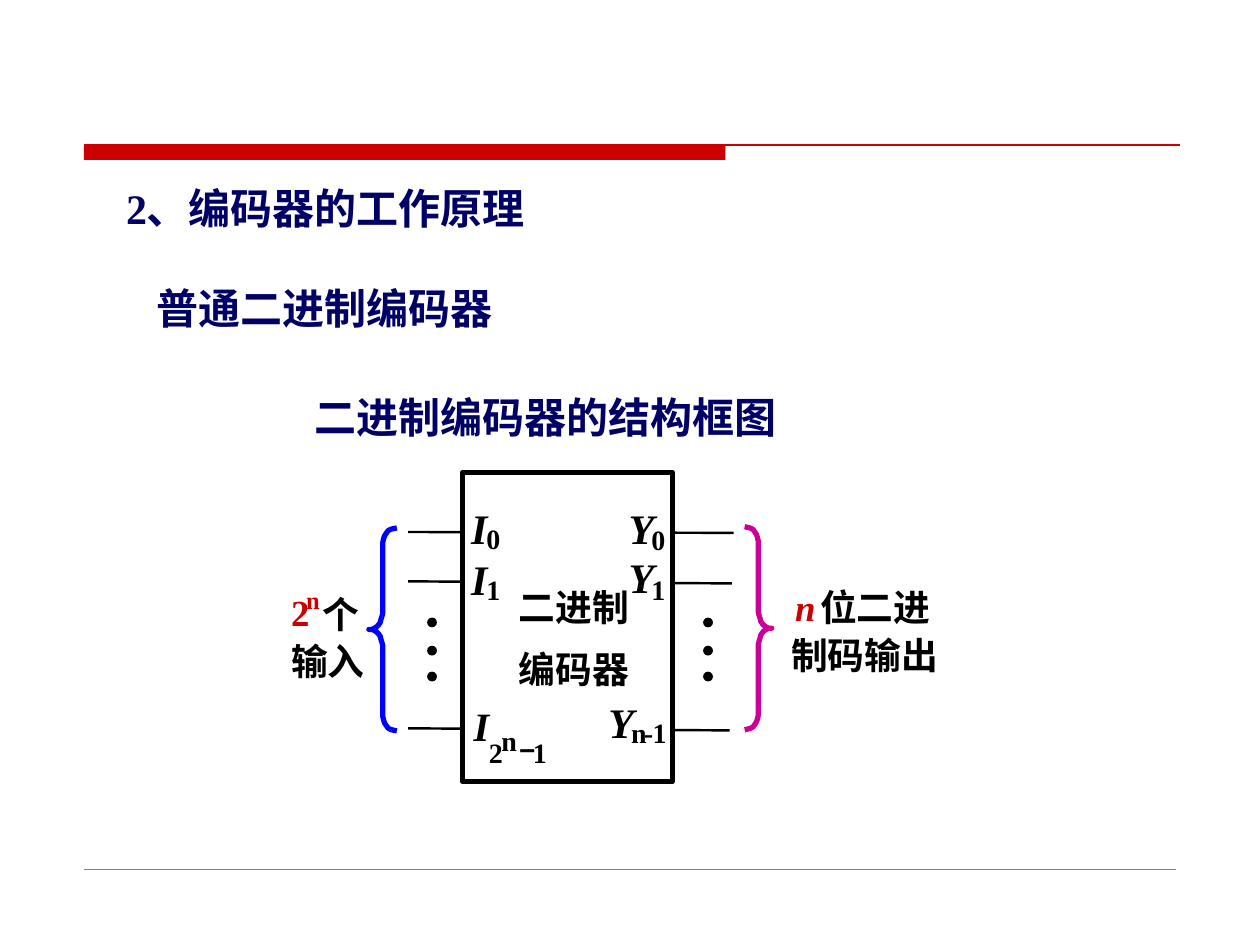
from lxml.etree import SubElement
from pptx import Presentation
from pptx.dml.color import RGBColor
from pptx.enum.shapes import MSO_CONNECTOR, MSO_SHAPE
from pptx.enum.text import MSO_ANCHOR, MSO_AUTO_SIZE, PP_ALIGN
from pptx.oxml.ns import qn
from pptx.util import Pt

COLORS = {"red": "CC0000", "navy": "000066", "black": "000000", "white": "FFFFFF",
          "blue": "0000FF", "pink": "CC0099", "gray": "808080"}
LATIN, HAN = "Times New Roman", "Noto Sans CJK SC"
EMS = {"I": 0.39, "Y": 0.61, "n": 0.55, "-": 0.33, "−": 0.58}
CURVE = [(16, 0), (14, 0.4), (12.5, 0.8), (11, 1.6), (10, 3), (9, 4.5), (8.5, 6),
         (8, 8), (8, 48.5), (7.5, 50.5), (7, 52), (6.5, 54), (5.5, 55.5),
         (4.5, 56.5), (3, 57.5), (1.5, 58), (0, 58)]


def color(name):
    """Return the named colour."""
    return RGBColor.from_string(COLORS[name])


def add_run(para, text, size, tint="black", font=LATIN, east=None, italic=False):
    """Add one bold run to a paragraph."""
    run = para.add_run()
    run.text = text
    run.font.size = Pt(size)
    run.font.bold = True
    run.font.italic = italic
    run.font.color.rgb = color(tint)
    run.font.name = font
    SubElement(run.font._element, qn("a:ea")).set("typeface", east or font)


def add_label(slide, x, y, text, size, tint="black", font=LATIN, italic=False):
    """Place a one-line label that fits its text."""
    width = size * sum(EMS.get(c, 0.5 if c.isdigit() else 1) for c in text)
    box = slide.shapes.add_textbox(Pt(x), Pt(y), Pt(width), Pt(size * 1.2))
    frame = box.text_frame
    frame.word_wrap = False
    frame.margin_left = frame.margin_right = frame.margin_top = frame.margin_bottom = 0
    add_run(frame.paragraphs[0], text, size, tint, font, italic=italic)


def add_line(slide, start, end, tint, width):
    """Draw a plain straight line."""
    line = slide.shapes.add_connector(MSO_CONNECTOR.STRAIGHT, *map(Pt, start + end))
    line.line.color.rgb = color(tint)
    line.line.width = Pt(width)
    SubElement(line._element.spPr, qn("a:effectLst"))


def add_solid(slide, kind, box, tint):
    """Draw a filled preset shape without outline."""
    shape = slide.shapes.add_shape(kind, *map(Pt, box))
    shape.shadow.inherit = False
    shape.fill.solid()
    shape.fill.fore_color.rgb = color(tint)
    shape.line.fill.background()
    return shape


def add_rules(slide, box):
    """Draw the heavy top rule and the thin bottom rule."""
    x, y, w, h = box
    add_solid(slide, MSO_SHAPE.RECTANGLE, (x, y, 366.5, 8.6), "red")
    add_line(slide, (x, y), (x + w, y), "red", 0.75)
    add_line(slide, (x, y + h), (x + w - 2.5, y + h), "gray", 0.25)


def add_heads(slide, box):
    """Fill the title and place the two headings below it."""
    x, y, w, h = box
    title = slide.shapes.title
    title.left, title.top, title.width, title.height = map(Pt, box)
    frame = title.text_frame
    frame.word_wrap = True
    frame.auto_size = MSO_AUTO_SIZE.NONE
    frame.vertical_anchor = MSO_ANCHOR.TOP
    para = frame.paragraphs[0]
    para.alignment = PP_ALIGN.LEFT
    add_run(para, "2、编码器的工作原理", 24, "navy", east=HAN)
    add_label(slide, x + 24.5, y + 60.5, "普通二进制编码器", 24, "navy", HAN)
    add_label(slide, x + 115.2, y + 123.1, "二进制编码器的结构框图", 24, "navy", HAN)


def add_coder(slide, box):
    """Draw the encoder block with its wires, dots and pin names."""
    x, y, w, h = box
    for top, drop, reach in ((34, 0.5, 155), (62.2, 1.2, 154), (146.2, 1.2, 152.7)):
        add_line(slide, (x - 31, y + top), (x + reach, y + top + drop), "black", 1.38)
    block = add_solid(slide, MSO_SHAPE.RECTANGLE, box, "white")
    block.line.color.rgb = color("black")
    block.line.width = Pt(2.88)

    for left, top, text, size in (
            (5, 17.3, "I", 24), (5, 46.1, "I", 24), (6.5, 131, "I", 23),
            (95, 17.3, "Y", 24), (95, 45.4, "Y", 24), (83.5, 128.2, "Y", 24)):
        add_label(slide, x + left, y + top, text, size, italic=True)
    for left, top, text in (
            (13.7, 28.1, "0"), (13.7, 56.9, "1"), (108, 28.8, "0"), (108, 56.9, "1"),
            (15.1, 150.5, "2"), (22.3, 143.3, "n"), (40.3, 150.5, "1"),
            (96.5, 139, "n"), (103.7, 139, "-"), (108.7, 139, "1")):
        add_label(slide, x + left, y + top, text, 16)
    add_label(slide, x + 32.4, y + 148.3, "−", 16, font="Arial")
    for top, text in ((64.1, "二进制"), (99.4, "编码器")):
        add_label(slide, x + 32.4, y + top, text, 21, font=HAN)

    size = 5.6
    for mid in (-17.3, 140.4):
        for top in (85.7, 101.8, 116.6):
            dot = (x + mid - size / 2, y + top - size / 2, size, size)
            add_solid(slide, MSO_SHAPE.OVAL, dot, "black")


def add_brace(slide, box, tint, flip=False):
    """Draw a curly brace that fills the box."""
    x, y, w, h = box
    half = [(a * w / 16, b * h / 116) for a, b in CURVE]
    full = half + [(a, h - b) for a, b in half[-2::-1]]
    spots = [(Pt(x + (w - a if flip else a)), Pt(y + b)) for a, b in full]
    pen = slide.shapes.build_freeform(*spots[0])
    pen.add_line_segments(spots[1:], close=False)
    brace = pen.convert_to_shape()
    brace.shadow.inherit = False
    brace.fill.background()
    brace.line.color.rgb = color(tint)
    brace.line.width = Pt(3)


def add_input(slide, box):
    """Draw the input brace and its caption."""
    x, y, w, h = box
    add_brace(slide, (x + w - 16, y, 16, h), "blue")
    add_label(slide, x, y + 35.3, "2", 21, "red")
    add_label(slide, x + 8.7, y + 32.4, "n", 14, "red")
    add_label(slide, x + 18, y + 36.7, "个", 21, font=HAN)
    add_label(slide, x, y + 63.4, "输入", 21, font=HAN)


def add_output(slide, box):
    """Draw the output brace and its caption."""
    x, y, w, h = box
    add_brace(slide, (x, y, 15.5, h), "pink", flip=True)
    add_label(slide, x + 28.8, y + 33.1, "n", 21, "red", italic=True)
    add_label(slide, x + 43.2, y + 33.1, "位二进", 21, font=HAN)
    add_label(slide, x + 26.6, y + 60.5, "制码输出", 21, font=HAN)


def main():
    """Build the slide and save it."""
    deck = Presentation()
    deck.slide_width, deck.slide_height = Pt(720), Pt(540)
    slide = deck.slides.add_slide(deck.slide_layouts[5])
    add_rules(slide, (48, 82.8, 626.5, 414))
    add_heads(slide, (64.8, 100.8, 243.4, 36))
    add_coder(slide, (264.2, 270, 120.2, 176.4))
    add_input(slide, (166.3, 301.7, 60.5, 116))
    add_output(slide, (425.5, 301, 111, 116))
    deck.save("out.pptx")


if __name__ == "__main__":
    main()
